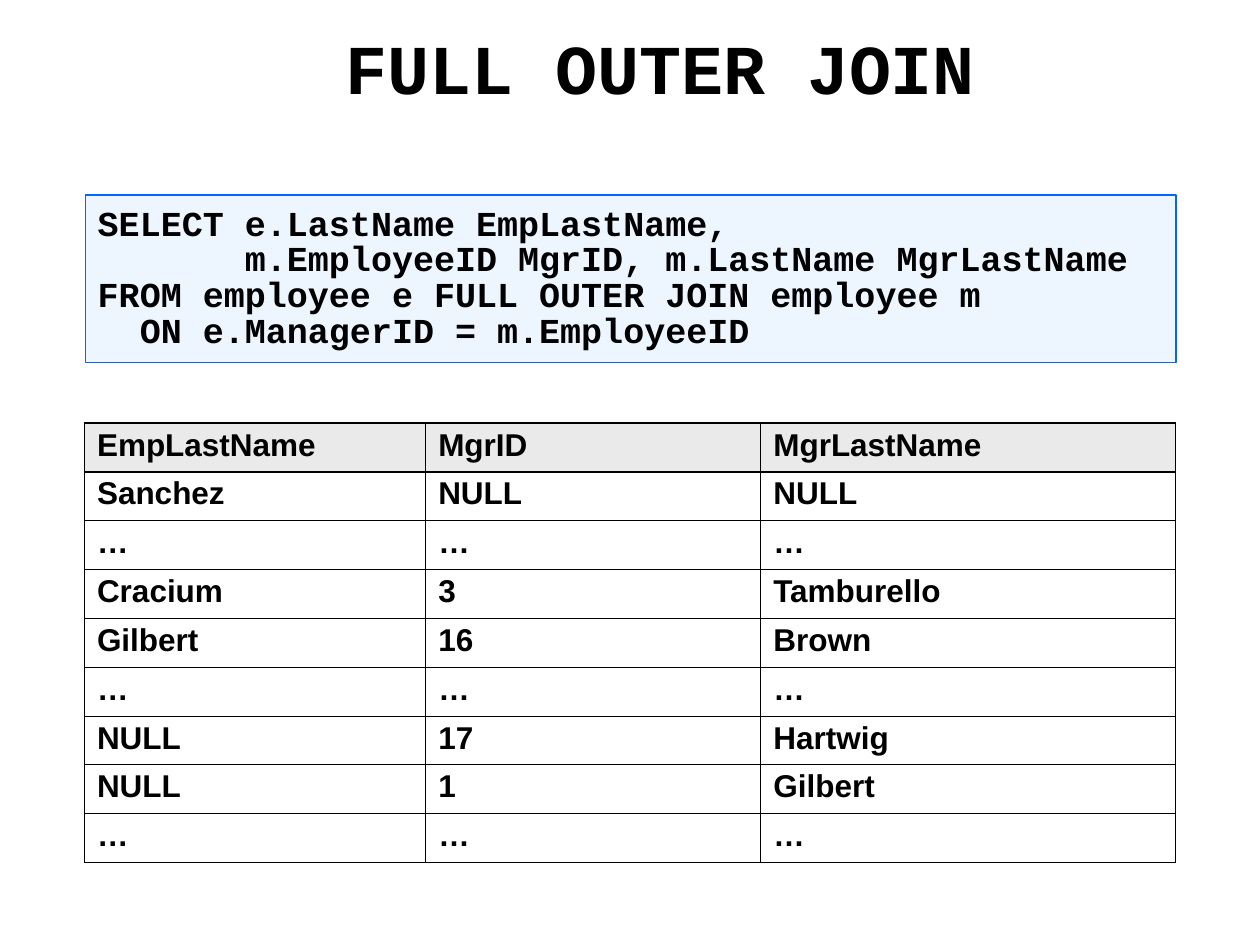
"""Build a slide that shows a FULL OUTER JOIN query and its result table."""
import pptx
import pptx.util
import pptx.dml.color
import pptx.enum.shapes
import pptx.enum.text
import pptx.oxml
import pptx.oxml.ns

Pt = pptx.util.Pt
RGB = pptx.dml.color.RGBColor.from_string
LEFT = pptx.enum.text.PP_ALIGN.LEFT
NS = pptx.oxml.ns.nsdecls("a")

COLORS = {"ink": "000000", "panel": "DDECFF", "edge": "0066FF", "head": "EAEAEA"}
QUERY = [
    "SELECT e.LastName EmpLastName,",
    "       m.EmployeeID MgrID, m.LastName MgrLastName",
    "FROM employee e FULL OUTER JOIN employee m",
    "  ON e.ManagerID = m.EmployeeID",
]
ROWS = [
    ("EmpLastName", "MgrID", "MgrLastName"),
    ("Sanchez", "NULL", "NULL"),
    ("…", "…", "…"),
    ("Cracium", "3", "Tamburello"),
    ("Gilbert", "16", "Brown"),
    ("…", "…", "…"),
    ("NULL", "17", "Hartwig"),
    ("NULL", "1", "Gilbert"),
    ("…", "…", "…"),
]
WIDTHS = [195, 191.5, 237]
HEIGHT = 27.9


def write(para, text, font, size, spacing):
    para.alignment = LEFT
    para.line_spacing = spacing
    run = para.add_run()
    run.text = text
    run.font.name = font
    run.font.size = Pt(size)
    run.font.bold = True
    run.font.color.rgb = RGB(COLORS["ink"])


def border(cell, side, heavy):
    width = Pt(1.08 if heavy else 0.45)
    cell._tc.get_or_add_tcPr().append(pptx.oxml.parse_xml(
        f'<a:ln{side} {NS} w="{width}"><a:solidFill>'
        f'<a:srgbClr val="{COLORS["ink"]}"/></a:solidFill></a:ln{side}>'))


deck = pptx.Presentation()
deck.slide_width, deck.slide_height = Pt(720), Pt(540)
slide = deck.slides.add_slide(deck.slide_layouts[5])

title = slide.shapes.title
title.left, title.top, title.width, title.height = Pt(190), Pt(6), Pt(516), Pt(71)
title.text_frame.vertical_anchor = pptx.enum.text.MSO_ANCHOR.MIDDLE
write(title.text_frame.paragraphs[0], "FULL OUTER JOIN", "Courier New", 40, 0.85)

panel = slide.shapes.add_shape(
    pptx.enum.shapes.MSO_SHAPE.RECTANGLE, Pt(48.75), Pt(111.5), Pt(623.25), Pt(95.75))
panel.shadow.inherit = False
panel.fill.solid()
panel.fill.fore_color.rgb = RGB(COLORS["panel"])
tint = panel._element.spPr.find(".//" + pptx.oxml.ns.qn("a:srgbClr"))
tint.append(pptx.oxml.parse_xml(f'<a:alpha {NS} val="50000"/>'))
panel.line.color.rgb = RGB(COLORS["edge"])
panel.line.width = Pt(0.75)
frame = panel.text_frame
frame.word_wrap = True
frame.auto_size = pptx.enum.text.MSO_AUTO_SIZE.SHAPE_TO_FIT_TEXT
frame.vertical_anchor = pptx.enum.text.MSO_ANCHOR.TOP
frame.margin_left = frame.margin_right = Pt(7.2)
frame.margin_top = frame.margin_bottom = Pt(7.2)
for i, line in enumerate(QUERY):
    para = frame.add_paragraph() if i else frame.paragraphs[0]
    write(para, line, "Courier New", 20, 0.85)

grid = slide.shapes.add_table(
    len(ROWS), len(WIDTHS), Pt(48.25), Pt(241.75),
    Pt(sum(WIDTHS)), Pt(HEIGHT * len(ROWS))).table
grid.horz_banding = False
for col, width in zip(grid.columns, WIDTHS):
    col.width = Pt(width)
for r, row in enumerate(ROWS):
    grid.rows[r].height = Pt(HEIGHT)
    for c, text in enumerate(row):
        cell = grid.cell(r, c)
        border(cell, "L", c == 0)
        border(cell, "R", c == len(WIDTHS) - 1)
        border(cell, "T", r < 2)
        border(cell, "B", r in (0, len(ROWS) - 1))
        if r == 0:
            cell.fill.solid()
            cell.fill.fore_color.rgb = RGB(COLORS["head"])
        else:
            cell.fill.background()
        write(cell.text_frame.paragraphs[0], text, "Arial", 18, 0.95)

deck.save("out.pptx")
